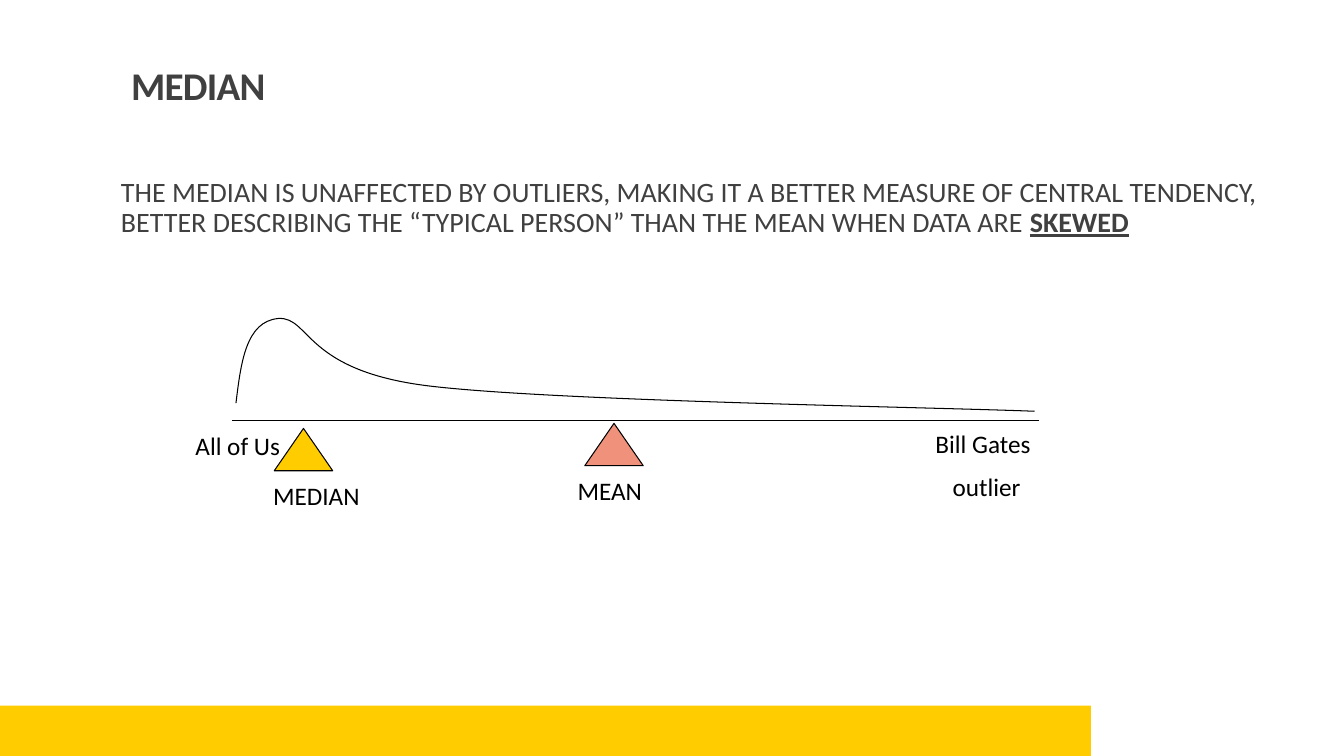
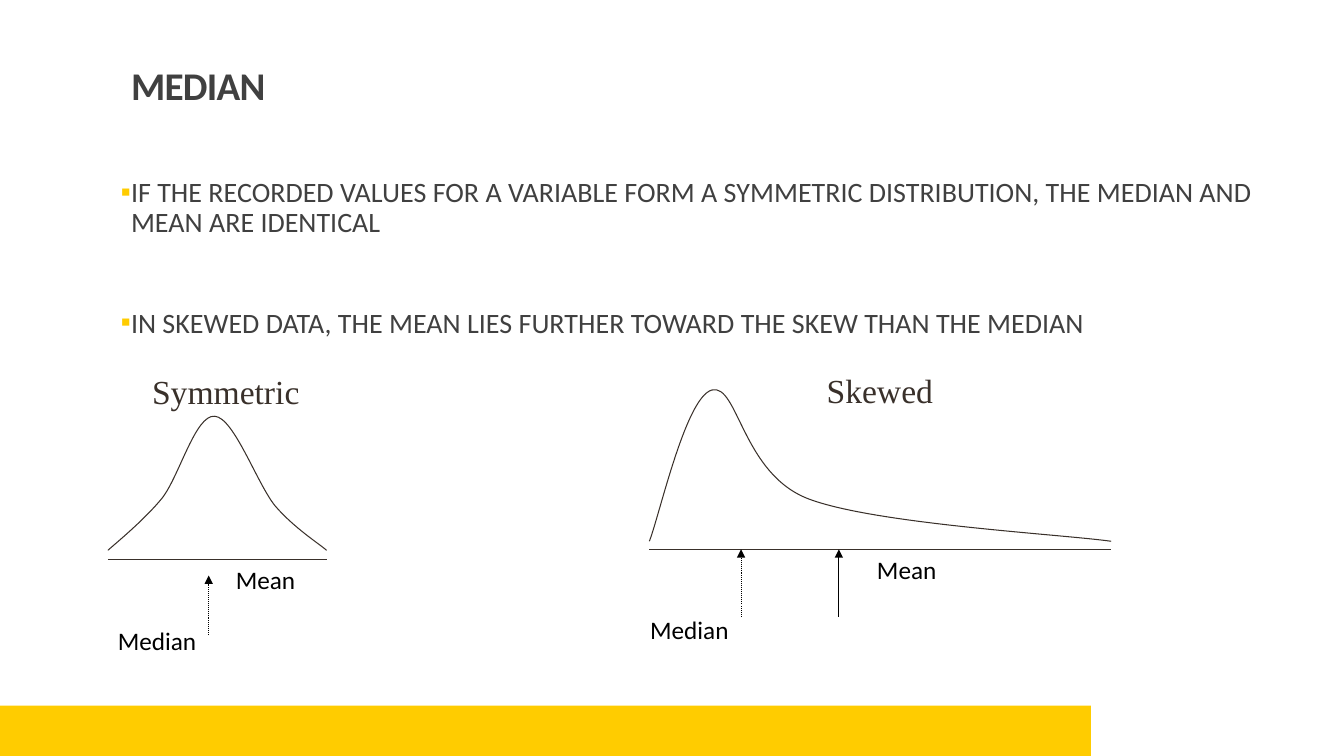
from lxml import etree
from pptx import Presentation
from pptx.dml.color import RGBColor
from pptx.enum.dml import MSO_LINE
from pptx.enum.shapes import MSO_CONNECTOR, MSO_SHAPE
from pptx.enum.text import MSO_ANCHOR, MSO_AUTO_SIZE, PP_ALIGN
from pptx.oxml.ns import qn
from pptx.util import Pt

PX = 9144  # EMU per px, 100 px to the inch
RECT, TRIANGLE = MSO_SHAPE.RECTANGLE, MSO_SHAPE.ISOSCELES_TRIANGLE
STRAIGHT, DOTTED = MSO_CONNECTOR.STRAIGHT, MSO_LINE.ROUND_DOT
FIXED, GROW = MSO_AUTO_SIZE.NONE, MSO_AUTO_SIZE.SHAPE_TO_FIT_TEXT
TITLE_ONLY = 5

COLORS = {"yellow": "FFCC00", "coral": "F0917B", "gray": "404040",
          "brown": "39302A", "black": "000000"}

TITLE = {"size": Pt(28), "name": "Calibri", "bold": True, "color": "gray"}
BODY = {"size": Pt(20), "name": "Calibri", "color": "gray"}
LABEL = {"size": Pt(18), "name": "Calibri", "color": "black"}
HEADING = {"size": Pt(24), "name": "Times New Roman", "color": "brown"}
BODY_PARAGRAPH = {"line_spacing": 0.9, "space_before": Pt(12),
                  "space_after": Pt(2)}


# Shared helpers

def rgb(name):
    return RGBColor.from_string(COLORS[name])


def emu(*lengths):
    return [v * PX for v in lengths]


def set_attrs(obj, values):
    for name, value in values.items():
        setattr(obj, name, value)


def add_run(p, text, style):
    r = p.add_run()
    r.text = text
    set_attrs(r.font, {k: v for k, v in style.items() if k != "color"})
    r.font.color.rgb = rgb(style["color"])
    return r


def set_line(sp, color):
    sp.line.color.rgb = rgb(color)
    sp.line.width = Pt(0.75)


def set_indent(p, left, first=0):
    ppr = p._p.get_or_add_pPr()
    ppr.set("marL", str(left * PX))
    ppr.set("indent", str(first * PX))
    return ppr


def add_bullet(p):
    ppr = set_indent(p, 10, -10)
    clr = etree.SubElement(ppr, qn("a:buClr"))
    etree.SubElement(clr, qn("a:srgbClr"), val=COLORS["yellow"])
    etree.SubElement(ppr, qn("a:buFont"), typeface="Calibri")
    etree.SubElement(ppr, qn("a:buChar"), char="▪")


# Kinds of element

def add_box(s, x, y, w, h, kind, fill, line=None):
    sp = s.shapes.add_shape(kind, *emu(x, y, w, h))
    sp.shadow.inherit = False
    sp.fill.solid()
    sp.fill.fore_color.rgb = rgb(fill)
    if line:
        set_line(sp, line)
    else:
        sp.line.fill.background()
    return sp


def add_line(s, x1, y1, x2, y2, color, dash=None, arrow=False):
    c = s.shapes.add_connector(STRAIGHT, *emu(x1, y1, x2, y2))
    set_line(c, color)
    if dash:
        c.line.dash_style = dash
    spPr = c.element.spPr
    if arrow:
        etree.SubElement(spPr.find(qn("a:ln")), qn("a:tailEnd"),
                         type="triangle")
    etree.SubElement(spPr, qn("a:effectLst"))


def add_curve(s, start, points, color):
    """Draw joined cubic curves; every third point is an end."""
    builder = s.shapes.build_freeform(*emu(*start))
    builder.add_line_segments([emu(*pt) for pt in points], close=False)
    sp = builder.convert_to_shape()
    sp.shadow.inherit = False
    sp.fill.background()
    set_line(sp, color)
    # Join each three straight segments into one Bezier segment
    outline = sp.element.find(".//" + qn("a:path"))
    segments = outline.findall(qn("a:lnTo"))
    for i in range(0, len(segments), 3):
        bezier = etree.SubElement(outline, qn("a:cubicBezTo"))
        for segment in segments[i:i + 3]:
            bezier.append(segment[0])
            outline.remove(segment)


def add_label(s, x, y, w, h, lines, style=LABEL):
    tf = s.shapes.add_textbox(*emu(x, y, w, h)).text_frame
    set_attrs(tf, {"word_wrap": True, "auto_size": GROW})
    for i, (text, indent) in enumerate(lines):
        p = tf.paragraphs[0] if i == 0 else tf.add_paragraph()
        p.space_before = style["size"] // 2
        if indent:
            set_indent(p, indent)
        add_run(p, text, style)


def add_body(s):
    tf = s.shapes.add_textbox(*emu(120, 172, 1143, 482)).text_frame
    set_attrs(tf, {"word_wrap": True, "auto_size": FIXED,
                   "margin_left": 0, "margin_right": 0})
    return tf


def add_slide(prs, title):
    s = prs.slides.add_slide(prs.slide_layouts[TITLE_ONLY])
    sp = s.shapes.title
    set_attrs(sp, dict(zip(("left", "top", "width", "height"),
                           emu(120, 31, 1100, 82))))
    tf = sp.text_frame
    set_attrs(tf, {"word_wrap": True, "auto_size": FIXED,
                   "vertical_anchor": MSO_ANCHOR.BOTTOM})
    p = tf.paragraphs[0]
    set_attrs(p, {"alignment": PP_ALIGN.LEFT, "line_spacing": 0.85})
    add_run(p, title, TITLE).font._element.set("spc", "-50")
    return s


def add_layout_band(s):
    """Place the bottom band on the layout that the slides share."""
    band = add_box(s, 0, 700, 1082, 50, RECT, "yellow").element
    band.nvSpPr.cNvPr.set("id", "20")
    s.slide_layout.shapes.element.insert(2, band)


# Slides

def build_outlier_slide(prs):
    s = add_slide(prs, "MEDIAN")
    add_layout_band(s)
    p = add_body(s).paragraphs[0]
    set_attrs(p, BODY_PARAGRAPH)
    add_run(p, "THE MEDIAN IS UNAFFECTED BY OUTLIERS, MAKING IT A BETTER "
               "MEASURE OF CENTRAL TENDENCY, BETTER DESCRIBING THE “TYPICAL "
               "PERSON” THAN THE MEAN WHEN DATA ARE ", BODY)
    add_run(p, "SKEWED", {**BODY, "bold": True, "underline": True})

    # Income curve with its balance points
    add_curve(s, (234, 400), [(239, 359), (244, 319), (276, 316),
                              (308, 314), (301, 368), (426, 383),
                              (551, 398), (926, 404), (1026, 408)], "black")
    add_label(s, 184, 422, 175, 40, [("All of Us", 0)])
    add_label(s, 918, 420, 150, 85, [("Bill Gates", 0), ("outlier", 17)])
    add_box(s, 272, 425, 58, 42, TRIANGLE, "yellow", "black")
    add_line(s, 230, 417, 1030, 417, "black")
    add_box(s, 580, 420, 58, 42, TRIANGLE, "coral", "black")
    add_label(s, 563, 467, 175, 40, [("MEAN", 0)])
    add_label(s, 261, 472, 175, 40, [("MEDIAN", 0)])


def build_distribution_slide(prs):
    s = add_slide(prs, "MEDIAN")
    tf = add_body(s)
    bullets = [
        ("IF THE RECORDED VALUES FOR A VARIABLE FORM A SYMMETRIC "
         "DISTRIBUTION, THE MEDIAN AND MEAN ARE IDENTICAL", 12),
        ("IN SKEWED DATA, THE MEAN LIES FURTHER TOWARD THE SKEW THAN "
         "THE MEDIAN", 48)]
    for i, (text, before) in enumerate(bullets):
        p = tf.paragraphs[0] if i == 0 else tf.add_paragraph()
        set_attrs(p, {**BODY_PARAGRAPH, "space_before": Pt(before)})
        add_bullet(p)
        add_run(p, text, BODY)

    # Curves over their axes
    add_curve(s, (107, 546), [(116, 538), (143, 516), (161, 494),
                              (178, 472), (194, 411), (213, 413),
                              (232, 414), (255, 480), (273, 502),
                              (292, 524), (316, 539), (324, 546)], "brown")
    add_curve(s, (644, 537), [(654, 512), (680, 394), (706, 387),
                              (732, 380), (736, 470), (802, 495),
                              (868, 520), (1052, 530), (1102, 537)], "brown")
    for x1, x2, y in ((107, 324, 555), (644, 1102, 545)):
        add_line(s, x1, y, x2, y, "brown")

    # Arrows to the mean and the median
    for x, y1, y2, dash in ((207, 630, 571, DOTTED), (832, 612, 545, None),
                            (735, 612, 545, DOTTED)):
        add_line(s, x, y1, x, y2, "black", dash, arrow=True)

    # Labels
    for x, y, w, text in ((224, 555, 133, "Mean"), (107, 615, 142, "Median"),
                          (860, 545, 133, "Mean"), (635, 605, 142, "Median")):
        add_label(s, x, y, w, 40, [(text, 0)])
    for x, y, text in ((141, 363, "Symmetric"), (810, 362, "Skewed")):
        add_label(s, x, y, 208, 50, [(text, 0)], HEADING)


def main():
    prs = Presentation()
    prs.slide_width, prs.slide_height = emu(1333, 750)
    build_outlier_slide(prs)
    build_distribution_slide(prs)
    prs.save("out.pptx")


if __name__ == "__main__":
    main()
